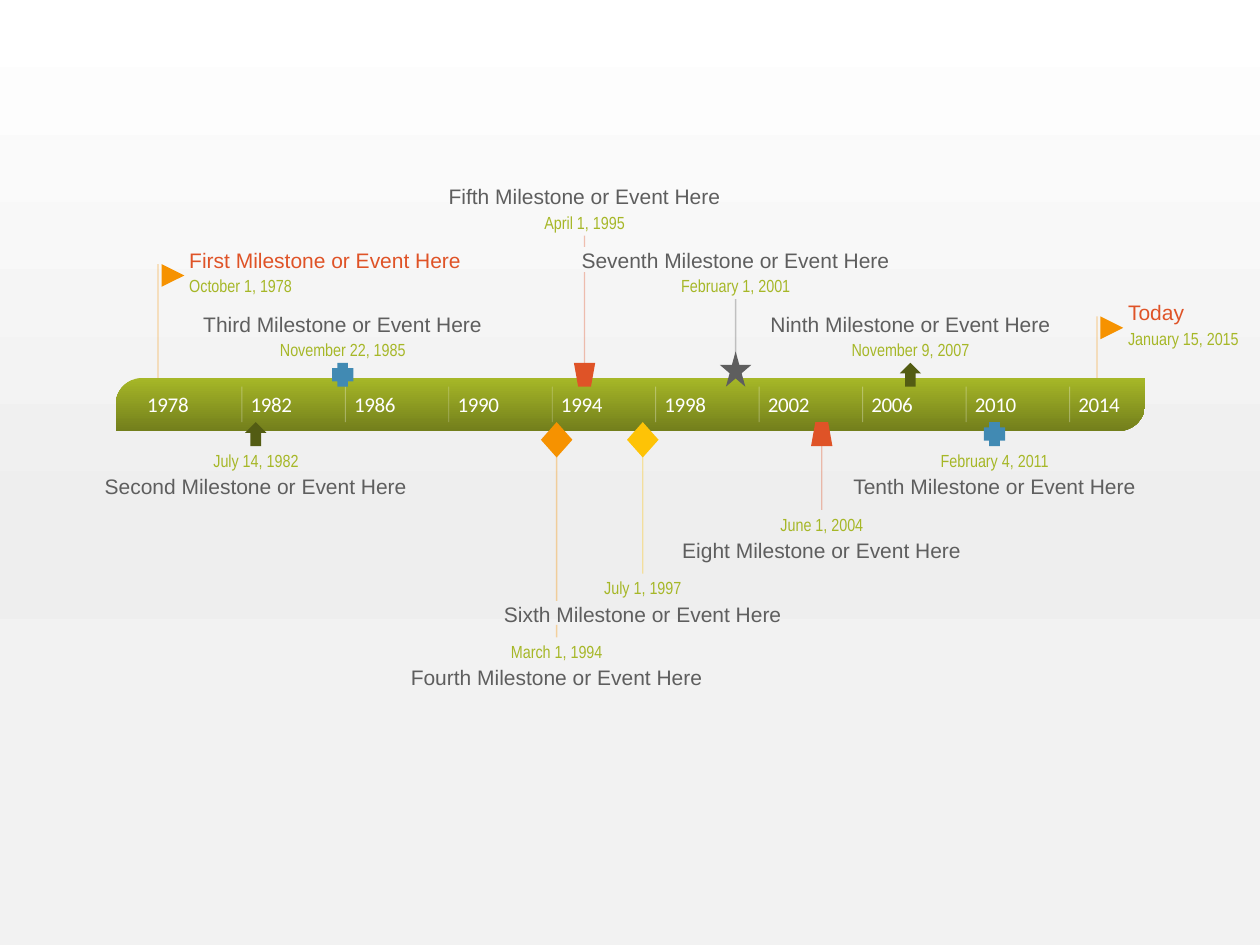
import dataclasses
import pptx
import pptx.util
import pptx.dml.color
import pptx.enum.shapes
import pptx.enum.text
import pptx.oxml.ns
import pptx.oxml.xmlchemy

Pt = pptx.util.Pt
Kind = pptx.enum.shapes.MSO_SHAPE
Side = pptx.enum.text.PP_ALIGN


@dataclasses.dataclass(frozen=True)
class Theme:
    white: str = "FFFFFF"
    lime: str = "A6B727"
    olive: str = "737F1C"
    moss: str = "535C13"
    red: str = "DF5327"
    amber: str = "F69200"
    gold: str = "FEC306"
    blue: str = "418AB3"
    gray: str = "5E5E5E"
    page: tuple = ((0, "FFFFFF"), (57, "EEEEEE"), (74, "F2F2F2"), (100, "F2F2F2"))
    head: int = 12
    date: int = 10
    sans: str = "Arial"
    thin: str = "Arial Narrow"
    scale: str = "Calibri"


@dataclasses.dataclass(frozen=True)
class Event:
    title: str
    date: str
    year: float
    wide: float
    span: float
    top: float
    mark: object
    color: str
    size: tuple = (12.2, 13.7)
    gap: tuple = ()
    below: bool = False
    flag: bool = False


LOOK = Theme()
START, ORIGIN, RATE = 1978, 79.1, 14.78
BAR = (66.2, 216, 588.2, 30.2)
TICK = (221, 241.2)
ROW = 36.4
HIGH, LOW = 105.1, 257
BIG = (18, 20.2)

EVENTS = [
    Event("First Milestone or Event Here", "October 1, 1978", 1978.76, 156, 59,
          HIGH + ROW, Kind.FLOWCHART_MERGE, LOOK.amber, (13, 13), flag=True),
    Event("Third Milestone or Event Here", "November 22, 1985", 1985.9, 160, 73,
          HIGH + 2 * ROW, Kind.CROSS, LOOK.blue),
    Event("Fifth Milestone or Event Here", "April 1, 1995", 1995.25, 156, 47,
          HIGH, Kind.FLOWCHART_MANUAL_OPERATION, LOOK.red, gap=(141.1, 155.5)),
    Event("Seventh Milestone or Event Here", "February 1, 2001", 2001.09, 177, 63,
          HIGH + ROW, Kind.STAR_5_POINT, LOOK.gray, BIG),
    Event("Ninth Milestone or Event Here", "November 9, 2007", 2007.85, 161, 68,
          HIGH + 2 * ROW, Kind.UP_ARROW, LOOK.moss),
    Event("Today", "January 15, 2015", 2015.06, 33, 64,
          171.4, Kind.FLOWCHART_MERGE, LOOK.amber, (13, 13), flag=True),
    Event("Second Milestone or Event Here", "July 14, 1982", 1982.54, 173, 49,
          LOW, Kind.UP_ARROW, LOOK.moss, below=True),
    Event("Fourth Milestone or Event Here", "March 1, 1994", 1994.17, 167, 53,
          LOW + 3 * ROW, Kind.DIAMOND, LOOK.amber, BIG, (343.4, 357.1), True),
    Event("Sixth Milestone or Event Here", "July 1, 1997", 1997.5, 159, 45,
          LOW + 2 * ROW, Kind.DIAMOND, LOOK.gold, BIG, below=True),
    Event("Eight Milestone or Event Here", "June 1, 2004", 2004.42, 160, 48,
          LOW + ROW, Kind.FLOWCHART_MANUAL_OPERATION, LOOK.red, below=True),
    Event("Tenth Milestone or Event Here", "February 4, 2011", 2011.1, 162, 63,
          LOW, Kind.CROSS, LOOK.blue, below=True),
]


def rgb(code):
    return pptx.dml.color.RGBColor.from_string(code)


def place(year):
    return ORIGIN + (year - START) * RATE


def child(node, tag, **attrs):
    item = pptx.oxml.xmlchemy.OxmlElement(tag)
    for key, value in attrs.items():
        item.set(key, str(value))
    node.append(item)
    return item


def blend(fill, root, stops):
    fill.gradient()
    fill.gradient_angle = 270
    bank = next(root.iter(pptx.oxml.ns.qn("a:gsLst")))
    for old in list(bank):
        bank.remove(old)
    for spot, code in stops:
        child(child(bank, "a:gs", pos=spot * 1000), "a:srgbClr", val=code)


def line(slide, x, top, end, color, width, alpha):
    rule = slide.shapes.add_connector(
        pptx.enum.shapes.MSO_CONNECTOR.STRAIGHT, Pt(x), Pt(top), Pt(x), Pt(end))
    rule.line.color.rgb = rgb(color)
    rule.line.width = Pt(width)
    tone = next(rule.element.iter(pptx.oxml.ns.qn("a:srgbClr")))
    child(tone, "a:alpha", val=alpha * 1000)
    child(rule.element.spPr, "a:effectLst")


def form(slide, kind, x, y, wide, high):
    shape = slide.shapes.add_shape(kind, Pt(x), Pt(y), Pt(wide), Pt(high))
    shape.shadow.inherit = False
    shape.line.fill.background()
    return shape


def label(slide, text, x, y, wide, high, face, size, color, align=Side.LEFT, space=0):
    box = slide.shapes.add_textbox(Pt(x), Pt(y), Pt(wide), Pt(high))
    frame = box.text_frame
    frame.margin_left = frame.margin_right = 0
    frame.margin_top = frame.margin_bottom = 0
    frame.word_wrap = False
    frame.vertical_anchor = pptx.enum.text.MSO_ANCHOR.MIDDLE
    frame.text = text
    para = frame.paragraphs[0]
    para.alignment = align
    font = para.runs[0].font
    font.name, font.size, font.color.rgb = face, Pt(size), rgb(color)
    if space:
        para.runs[0]._r.get_or_add_rPr().set("spc", str(space))


def stem(slide, event):
    half = event.size[1] / 2
    if event.flag:
        ends = [event.top + 9.4, BAR[1]]
    elif event.below:
        ends = [TICK[1] + half, event.top - 2]
    else:
        ends = [event.top + 29.5, TICK[0] - half]
    if ends[1] - ends[0] < 12:
        return
    ends[1:1] = event.gap
    for top, end in zip(ends[::2], ends[1::2]):
        line(slide, place(event.year), top, end, event.color, 0.75, 35)


def scale(slide):
    bar = form(slide, Kind.ROUND_2_DIAG_RECTANGLE, *BAR)
    bar.adjustments[0], bar.adjustments[1] = 1, 0
    blend(bar.fill, bar.element, ((0, LOOK.lime), (100, LOOK.olive)))
    for year in range(START, 2015, 4):
        x = place(year)
        if year > START:
            line(slide, x, *TICK, LOOK.white, 0.5, 30)
        label(slide, str(year), x + 5, 224, 25.2, 14.4, LOOK.scale, LOOK.head,
              LOOK.white, space=-20)


def words(slide, event):
    x = place(event.year)
    align = Side.LEFT if event.flag else Side.CENTER
    color = LOOK.red if event.flag else LOOK.gray
    head = event.top + 13.7 if event.below else event.top
    date = event.top if event.below else event.top + 15.8
    rows = ((event.title, head, event.wide, 14.4, LOOK.sans, LOOK.head, color),
            (event.date, date, event.span, 12.2, LOOK.thin, LOOK.date, LOOK.lime))
    for text, y, wide, high, face, size, tone in rows:
        left = x + 17.8 if event.flag else x - wide / 2
        label(slide, text, left, y, wide, high, face, size, tone, align)


def mark(slide, event):
    wide, high = event.size
    x = place(event.year)
    if event.flag:
        left, top = x + 2, event.top + 9.4
    else:
        left, top = x - wide / 2, TICK[1] if event.below else TICK[0] - high
    shape = form(slide, event.mark, left, top, wide, high)
    shape.fill.solid()
    shape.fill.fore_color.rgb = rgb(event.color)
    if event.flag:
        shape.rotation = 270
    if event.below and event.mark == Kind.FLOWCHART_MANUAL_OPERATION:
        shape.element.spPr.xfrm.set("flipV", "1")


def main():
    deck = pptx.Presentation()
    deck.slide_width, deck.slide_height = Pt(720), Pt(540)
    slide = deck.slides.add_slide(deck.slide_layouts[6])
    blend(slide.background.fill, slide.element, LOOK.page)
    for event in EVENTS:
        stem(slide, event)
    scale(slide)
    for event in EVENTS:
        words(slide, event)
        mark(slide, event)
    deck.save("out.pptx")


if __name__ == "__main__":
    main()
